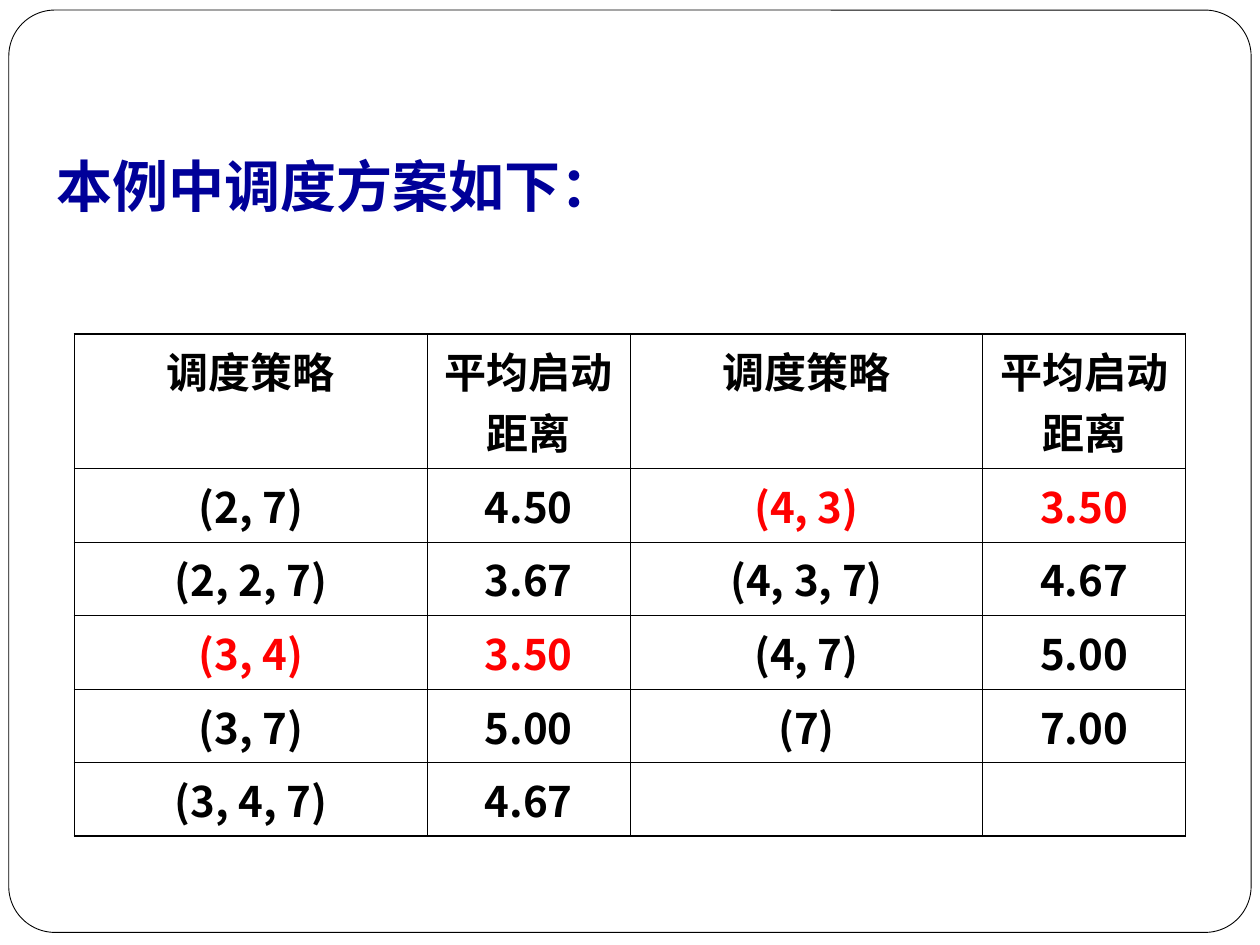
from dataclasses import dataclass
from lxml.etree import SubElement
from pptx import Presentation
from pptx.dml.color import RGBColor as RGB
from pptx.enum.shapes import MSO_SHAPE as SHAPE
from pptx.enum.text import MSO_ANCHOR as ANCHOR, PP_ALIGN as ALIGN
from pptx.oxml.ns import qn
from pptx.util import Inches, Pt


@dataclass(frozen=True)
class Theme:
    paper: RGB = RGB(0xFF, 0xFF, 0xFF)
    ink: RGB = RGB(0, 0, 0)
    title: RGB = RGB(0, 0, 0x99)
    best: RGB = RGB(0xFF, 0, 0)
    title_font: str = "Times New Roman"
    cjk_font: str = "Noto Sans CJK SC"
    title_size: int = 32
    cell_size: int = 24
    frame_line: float = 0.5
    inner_line: float = 0.45
    outer_line: float = 1.08


T = Theme()
HEADER = ["调度策略", "平均启动距离"] * 2
SCHEDULES = [
    ["(2, 7)", "4.50", "(4, 3)", "3.50"],
    ["(2, 2, 7)", "3.67", "(4, 3, 7)", "4.67"],
    ["(3, 4)", "3.50", "(4, 7)", "5.00"],
    ["(3, 7)", "5.00", "(7)", "7.00"],
    ["(3, 4, 7)", "4.67", "", ""],
]
BEST_DISTANCE = "3.50"
COL_WIDTHS = [2.8, 1.61] * 2
ROW_HEIGHTS = [1.06, 0.54, 0.52, 0.5, 0.5, 0.5]


def format_run(r, size, font, color):
    r.font.size, r.font.bold, r.font.name = Pt(size), True, font
    r.font.color.rgb = color
    SubElement(r.font._element, qn("a:ea"), typeface=T.cjk_font)


def add_frame(s, x, y, w, h):
    frame = s.shapes.add_shape(SHAPE.ROUNDED_RECTANGLE, x, y, w, h)
    frame.adjustments[0] = 0.05
    frame.shadow.inherit = False
    frame.fill.solid()
    frame.fill.fore_color.rgb = T.paper
    frame.line.color.rgb = T.ink
    frame.line.width = Pt(T.frame_line)
    s.shapes.title.element.addprevious(frame.element)


def place_title(s, x, y, w, h):
    title = s.shapes.title
    title.left, title.top, title.width, title.height = x, y, w, h
    tf = title.text_frame
    tf.text = "本例中调度方案如下："
    tf.word_wrap, tf.vertical_anchor = True, ANCHOR.TOP
    p = tf.paragraphs[0]
    p.alignment = ALIGN.LEFT
    format_run(p.runs[0], T.title_size, T.title_font, T.title)


def set_borders(cell, outer):
    tc_pr = cell._tc.get_or_add_tcPr()
    for i, side in enumerate(("lnL", "lnR", "lnT", "lnB")):
        width = T.outer_line if side in outer else T.inner_line
        ln = SubElement(tc_pr, qn(f"a:{side}"), w=str(Pt(width)))
        fill = SubElement(ln, qn("a:solidFill"))
        SubElement(fill, qn("a:srgbClr"), val=str(T.ink))
        tc_pr.insert(i, ln)


def fill_cell(cell, text, color, outer):
    cell.fill.background()
    set_borders(cell, outer)
    p = cell.text_frame.paragraphs[0]
    p.text = text
    p.alignment = ALIGN.CENTER
    for r in p.runs:
        format_run(r, T.cell_size, T.cjk_font, color)


def add_schedule_table(s, x, y, w, h):
    rows = [HEADER] + SCHEDULES
    last_row, last_col = len(rows) - 1, len(HEADER) - 1
    table = s.shapes.add_table(len(rows), len(HEADER), x, y, w, h).table
    table.first_row = table.horz_banding = False
    for col, width in zip(table.columns, COL_WIDTHS):
        col.width = Inches(width)
    for row, height in zip(table.rows, ROW_HEIGHTS):
        row.height = Inches(height)
    for i, row in enumerate(rows):
        for j, text in enumerate(row):
            distance = row[j // 2 * 2 + 1]
            color = T.best if distance == BEST_DISTANCE else T.ink
            edges = {"lnL": j == 0, "lnR": j == last_col, "lnT": i == 0, "lnB": i == last_row}
            outer = [side for side, on_edge in edges.items() if on_edge]
            fill_cell(table.cell(i, j), text, color, outer)


def main():
    prs = Presentation()
    prs.slide_width, prs.slide_height = Inches(10), Inches(7.5)
    s = prs.slides.add_slide(prs.slide_layouts[5])
    add_frame(s, Inches(0.07), Inches(0.08), Inches(9.86), Inches(7.32))
    place_title(s, Inches(0.35), Inches(1.15), Inches(9.14), Inches(0.79))
    add_schedule_table(s, Inches(0.59), Inches(2.65), Inches(8.82), Inches(3.62))
    prs.save("out.pptx")


if __name__ == "__main__":
    main()
